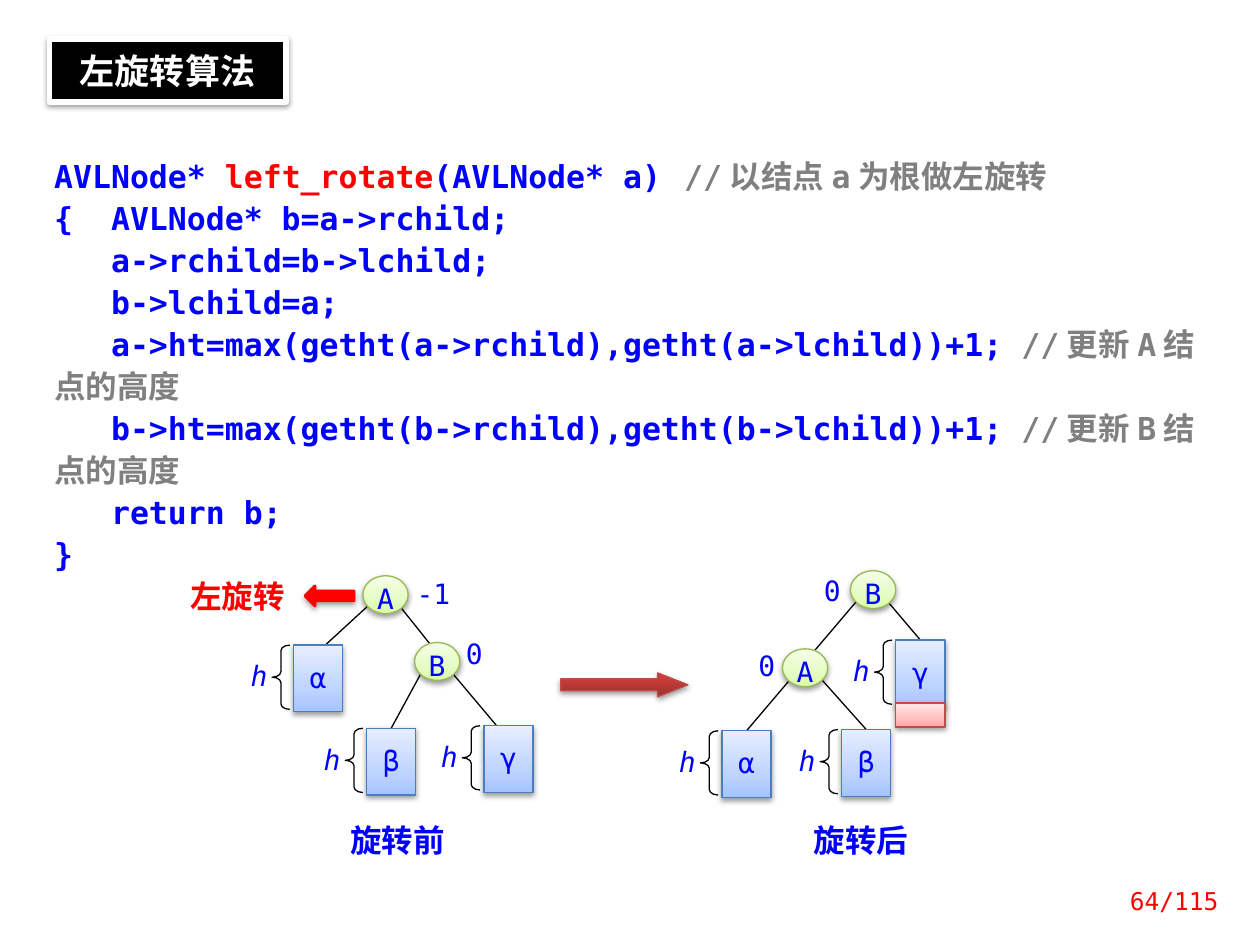
"""Build the slide on the left rotation of an AVL tree."""
from lxml.etree import SubElement
from pptx import Presentation
from pptx.dml.color import RGBColor
from pptx.enum.shapes import MSO_CONNECTOR, MSO_SHAPE
from pptx.enum.text import MSO_ANCHOR, PP_ALIGN
from pptx.oxml.ns import qn
from pptx.util import Pt

PX = 9144
FONT = "DejaVu Sans Mono"
BLACK = RGBColor(0x00, 0x00, 0x00)
WHITE = RGBColor(0xFF, 0xFF, 0xFF)
BLUE = RGBColor(0x00, 0x00, 0xFF)
RED = RGBColor(0xFF, 0x00, 0x00)
GRAY = RGBColor(0x80, 0x80, 0x80)
GREEN_EDGE = RGBColor(0x98, 0xB9, 0x55)
BLUE_EDGE = RGBColor(0x4B, 0x7E, 0xBC)
RED_EDGE = RGBColor(0xBF, 0x4C, 0x48)
GREEN_STOPS = [(0, "DAFDA7"), (35, "E4FCC2"), (100, "F5FFE7")]
BLUE_STOPS = [(0, "A4C4FF"), (35, "BFD4FF"), (100, "E6EEFF")]
PINK_STOPS = [(0, "FFA6A5"), (35, "FFC0BF"), (100, "FFE7E7")]
RED_STOPS = [(0, "9C2F2D"), (80, "CB3E3A"), (100, "CE3B37")]

deck = Presentation()
deck.slide_width, deck.slide_height = 1000 * PX, 750 * PX
page = deck.slides.add_slide(deck.slide_layouts[6])


def add_figure(kind, area, fill=None, edge=None, width=0.75, shadow=True):
    """Add a preset shape; fill is a colour, a list of gradient stops or None."""
    shape = page.shapes.add_shape(kind, *[length * PX for length in area])
    if fill is None:
        shape.fill.background()
    elif isinstance(fill, list):
        shape.fill.gradient()
        shape.fill.gradient_angle = 90
        stops = shape.element.spPr.find(qn("a:gradFill")).find(qn("a:gsLst"))
        stops.clear()
        for position, tint in fill:
            stop = SubElement(stops, qn("a:gs"), pos=str(position * 1000))
            SubElement(stop, qn("a:srgbClr"), val=tint)
    else:
        shape.fill.solid()
        shape.fill.fore_color.rgb = fill
    if edge is None:
        shape.line.fill.background()
    else:
        shape.line.color.rgb = edge
        shape.line.width = Pt(width)
    shape.shadow.inherit = False
    if shadow:
        effects = shape.element.spPr.find(qn("a:effectLst"))
        outer = SubElement(effects, qn("a:outerShdw"), blurRad="40000", dist="20000",
                           dir="5400000", rotWithShape="0")
        tint = SubElement(outer, qn("a:srgbClr"), val="000000")
        SubElement(tint, qn("a:alpha"), val="38000")
    return shape


def write(target, lines, size=16, bold=False, italic=False, align=PP_ALIGN.CENTER,
          margins=(0, 0, 0, 0), anchor=MSO_ANCHOR.TOP, spacing=None):
    """Write lines of (text, colour) runs into a shape or into a new box at an area."""
    box = target
    if isinstance(target, tuple):
        box = page.shapes.add_textbox(*[length * PX for length in target])
    frame = box.text_frame
    frame.word_wrap = True
    frame.vertical_anchor = anchor
    frame.margin_left, frame.margin_top, frame.margin_right, frame.margin_bottom = [
        margin * PX for margin in margins]
    for index, line in enumerate(lines):
        para = frame.add_paragraph() if index else frame.paragraphs[0]
        para.alignment = align
        if spacing:
            para.line_spacing = Pt(spacing)
        for text, color in line:
            span = para.add_run()
            span.text = text
            span.font.name = FONT
            span.font.size = Pt(size)
            span.font.bold = bold
            span.font.italic = italic
            span.font.color.rgb = color


title = add_figure(MSO_SHAPE.RECTANGLE, (39, 31, 188, 50), BLACK, WHITE, 3)
write(title, [[("左旋转算法", WHITE)]], 20, bold=True, margins=(10, 8, 10, 8))

code = [
    [("AVLNode* ", BLUE), ("left_rotate", RED), ("(AVLNode* a)\t", BLUE),
     ("//以结点a为根做左旋转", GRAY)],
    [("{  AVLNode* b=a->rchild;", BLUE)],
    [("   a->rchild=b->lchild;", BLUE)],
    [("   b->lchild=a;", BLUE)],
    [("   a->ht=max(getht(a->rchild),getht(a->lchild))+1; ", BLUE), ("//更新A结点的高度", GRAY)],
    [("   b->ht=max(getht(b->rchild),getht(b->lchild))+1; ", BLUE), ("//更新B结点的高度", GRAY)],
    [("   return b;", BLUE)],
    [("}", BLUE)],
]
code_box = add_figure(MSO_SHAPE.RECTANGLE, (23, 109, 969, 291), WHITE, shadow=False)
write(code_box, code, 18, bold=True, align=PP_ALIGN.LEFT, margins=(20, 12, 20, 12), spacing=24)

trees = [
    {
        "edges": [(318, 482, 342, 512, None), (358, 533, 395, 577, None),
                  (336, 531, 310, 578, "β"), (293, 480, 256, 514, None)],
        "nodes": [("A", 288, 457), ("B", 329, 510)],
        "subtrees": [("γ", 384, 576), ("β", 291, 578), ("α", 233, 512)],
        "balances": [("-1", 328, 458, 32), ("0", 366, 505, 21)],
        "caption": ("旋转前", 270),
    },
    {
        "edges": [(705, 478, 730, 508, "γ"), (650, 537, 687, 579, "β"),
                  (680, 477, 592, 580, "α")],
        "nodes": [("B", 675, 453), ("A", 621, 515)],
        "subtrees": [("γ", 711, 508), ("β", 668, 579), ("α", 573, 580)],
        "balances": [("0", 650, 455, 21), ("0", 598, 515, 21)],
        "caption": ("旋转后", 638),
    },
]
for tree in trees:
    joins = []
    for *ends, child in tree["edges"]:
        edge = page.shapes.add_connector(MSO_CONNECTOR.STRAIGHT, *[end * PX for end in ends])
        edge.line.color.rgb = BLACK
        edge.line.width = Pt(0.75)
        SubElement(edge.element.spPr, qn("a:effectLst"))
        joins.append((edge, child))
    for name, left, top in tree["nodes"]:
        node = add_figure(MSO_SHAPE.OVAL, (left, top, 36, 30), GREEN_STOPS, GREEN_EDGE)
        write(node, [[(name, BLUE)]])
    for name, left, top in tree["subtrees"]:
        subtree = add_figure(MSO_SHAPE.RECTANGLE, (left, top, 39, 53), BLUE_STOPS, BLUE_EDGE)
        write(subtree, [[(name, BLUE)]], margins=(0, 12, 0, 0))
        for edge, child in joins:
            if child == name:
                edge.end_connect(subtree, 0)
        brace = add_figure(MSO_SHAPE.LEFT_BRACE, (left - 17, top, 14, 51), None, BLACK,
                           shadow=False)
        brace.adjustments[0] = 0.31
        write((left - 38, top + 11, 21, 20), [[("h", BLUE)]], italic=True)
    for balance, left, top, width in tree["balances"]:
        write((left, top, width, 20), [[(balance, BLUE)]])
    caption, left = tree["caption"]
    write((left, 652, 91, 30), [[(caption, BLUE)]], 18, bold=True)

add_figure(MSO_SHAPE.RECTANGLE, (711, 558, 39, 19), PINK_STOPS, RED_EDGE)
step_arrow = add_figure(MSO_SHAPE.RIGHT_ARROW, (445, 534, 101, 19), RED_STOPS, RED_EDGE)
step_arrow.adjustments[1] = 1.27

write((141, 453, 102, 40), [[("左旋转", RED)]], 18, bold=True, align=PP_ALIGN.LEFT,
      margins=(10, 5, 10, 5))
add_figure(MSO_SHAPE.LEFT_ARROW, (242, 465, 39, 16), RED, RED, 1.5)
write((863, 695, 114, 40), [[("64/115", RED)]], 14, align=PP_ALIGN.RIGHT,
      margins=(10, 5, 10, 5), anchor=MSO_ANCHOR.MIDDLE)

deck.save("out.pptx")
